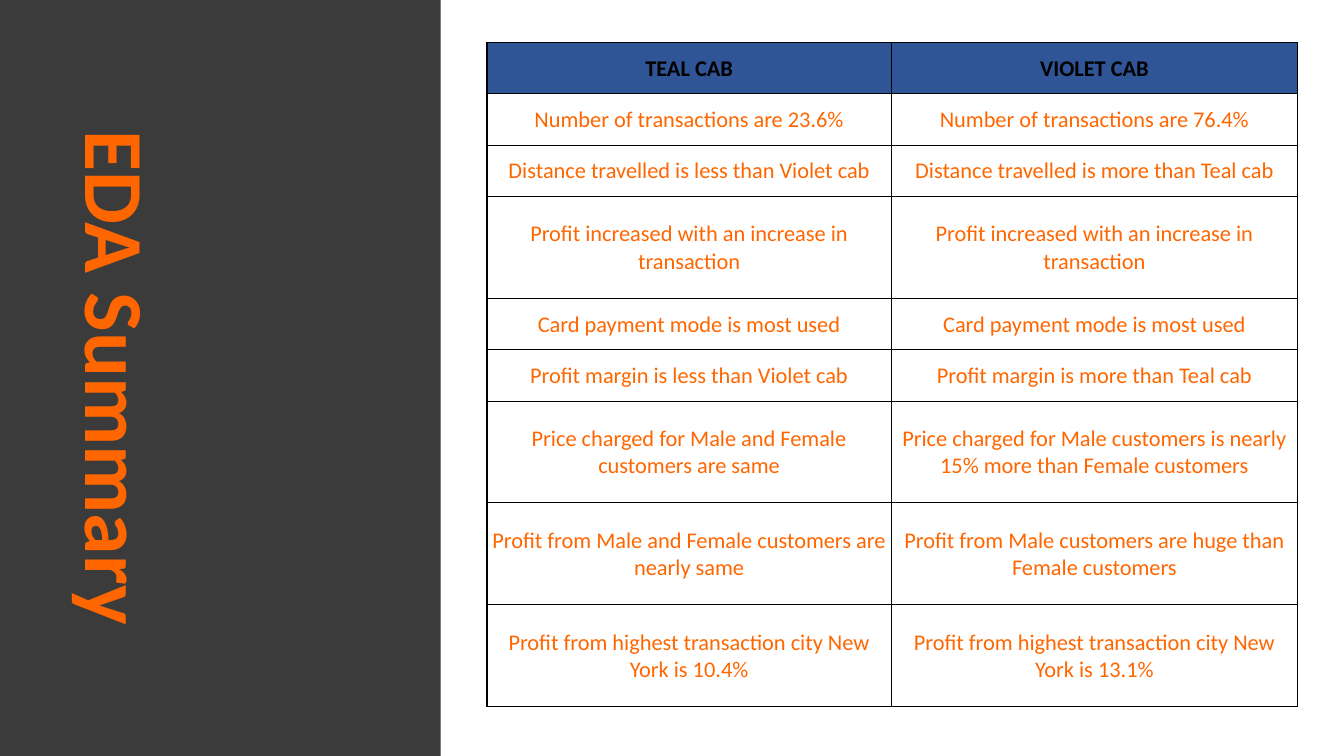
from lxml import etree
from pptx import Presentation
from pptx.dml.color import RGBColor
from pptx.enum.text import MSO_ANCHOR, MSO_AUTO_SIZE, PP_ALIGN
from pptx.oxml.ns import qn
from pptx.util import Inches, Pt

TITLE = "EDA Summary"
SINGLE, DOUBLE = 0.51, 1.01
ROWS = [
    (SINGLE, "TEAL CAB", "VIOLET CAB"),
    (SINGLE, "Number of transactions are 23.6%", "Number of transactions are 76.4%"),
    (SINGLE, "Distance travelled is less than Violet cab",
     "Distance travelled is more than Teal cab"),
    (DOUBLE, "Profit increased with an increase in transaction",
     "Profit increased with an increase in transaction"),
    (SINGLE, "Card payment mode is most used", "Card payment mode is most used"),
    (SINGLE, "Profit margin is less than Violet cab", "Profit margin is more than Teal cab"),
    (DOUBLE, "Price charged for Male and Female customers are same",
     "Price charged for Male customers is nearly 15% more than Female customers"),
    (DOUBLE, "Profit from Male and Female customers are nearly same",
     "Profit from Male customers are huge than Female customers"),
    (DOUBLE, "Profit from highest transaction city New York is 10.4%",
     "Profit from highest transaction city New York is 13.1%"),
]
COLUMN_WIDTHS = (4.01, 4.03)
TABLE_LEFT, TABLE_TOP = 4.83, 0.42
SLIDE_WIDTH, SLIDE_HEIGHT = 13.33, 7.5
PANEL_WIDTH = 4.37

BLACK, WHITE, ORANGE = "000000", "FFFFFF", "FF6600"
PANEL_GREY, HEADER_BLUE = "3B3B3B", "2F5597"
CENTER = PP_ALIGN.CENTER
MIDDLE, BOTTOM = MSO_ANCHOR.MIDDLE, MSO_ANCHOR.BOTTOM
NO_AUTOFIT = MSO_AUTO_SIZE.NONE
CELL_FORMAT = {
    "margin_left": Inches(0.01),
    "margin_top": Inches(0.01),
    "margin_right": Inches(0.01),
    "margin_bottom": 0,
    "vertical_anchor": MIDDLE,
}
TITLE_PLACE = {
    "left": Inches((PANEL_WIDTH - SLIDE_HEIGHT) / 2),
    "top": Inches((SLIDE_HEIGHT - PANEL_WIDTH) / 2),
    "width": Inches(SLIDE_HEIGHT),
    "height": Inches(PANEL_WIDTH),
    "rotation": 90,
}
TITLE_FRAME = {
    "auto_size": NO_AUTOFIT,
    "word_wrap": True,
    "vertical_anchor": BOTTOM,
    "margin_bottom": Inches(0.67),
}


def set_attributes(target, values):
    for name, value in values.items():
        setattr(target, name, value)


def set_fill(target, color):
    target.fill.solid()
    target.fill.fore_color.rgb = RGBColor.from_string(color)


def write_text(text_frame, text, size, color, bold):
    paragraph = text_frame.paragraphs[0]
    paragraph.alignment = CENTER
    run = paragraph.add_run()
    run.text = text
    set_attributes(run.font, {"name": "Calibri", "size": Pt(size), "bold": bold})
    run.font.color.rgb = RGBColor.from_string(color)
    return paragraph


def add_borders(cell):
    properties = cell._tc.get_or_add_tcPr()
    for index, side in enumerate(("lnL", "lnR", "lnT", "lnB")):
        line = etree.Element(qn(f"a:{side}"), w=str(Pt(1)))
        fill = etree.SubElement(line, qn("a:solidFill"))
        etree.SubElement(fill, qn("a:srgbClr"), val=BLACK)
        properties.insert(index, line)


def add_title(slide):
    title = slide.shapes.title
    set_attributes(title, TITLE_PLACE)
    set_fill(title, PANEL_GREY)
    set_attributes(title.text_frame, TITLE_FRAME)
    paragraph = write_text(title.text_frame, TITLE, 60, ORANGE, True)
    paragraph.line_spacing = 0.9


def add_summary_table(slide):
    table = slide.shapes.add_table(
        len(ROWS), len(COLUMN_WIDTHS), Inches(TABLE_LEFT), Inches(TABLE_TOP),
        Inches(sum(COLUMN_WIDTHS)), Inches(sum(row[0] for row in ROWS))).table
    for column, width in zip(table.columns, COLUMN_WIDTHS):
        column.width = Inches(width)
    for row_index, (height, *texts) in enumerate(ROWS):
        table.rows[row_index].height = Inches(height)
        is_header = row_index == 0
        for column_index, text in enumerate(texts):
            cell = table.cell(row_index, column_index)
            set_attributes(cell, CELL_FORMAT)
            set_fill(cell, HEADER_BLUE if is_header else WHITE)
            add_borders(cell)
            write_text(cell.text_frame, text, 16, BLACK if is_header else ORANGE, is_header)


def main():
    presentation = Presentation()
    presentation.slide_width = Inches(SLIDE_WIDTH)
    presentation.slide_height = Inches(SLIDE_HEIGHT)
    slide = presentation.slides.add_slide(presentation.slide_layouts[5])
    add_title(slide)
    add_summary_table(slide)
    presentation.save("out.pptx")


if __name__ == "__main__":
    main()
